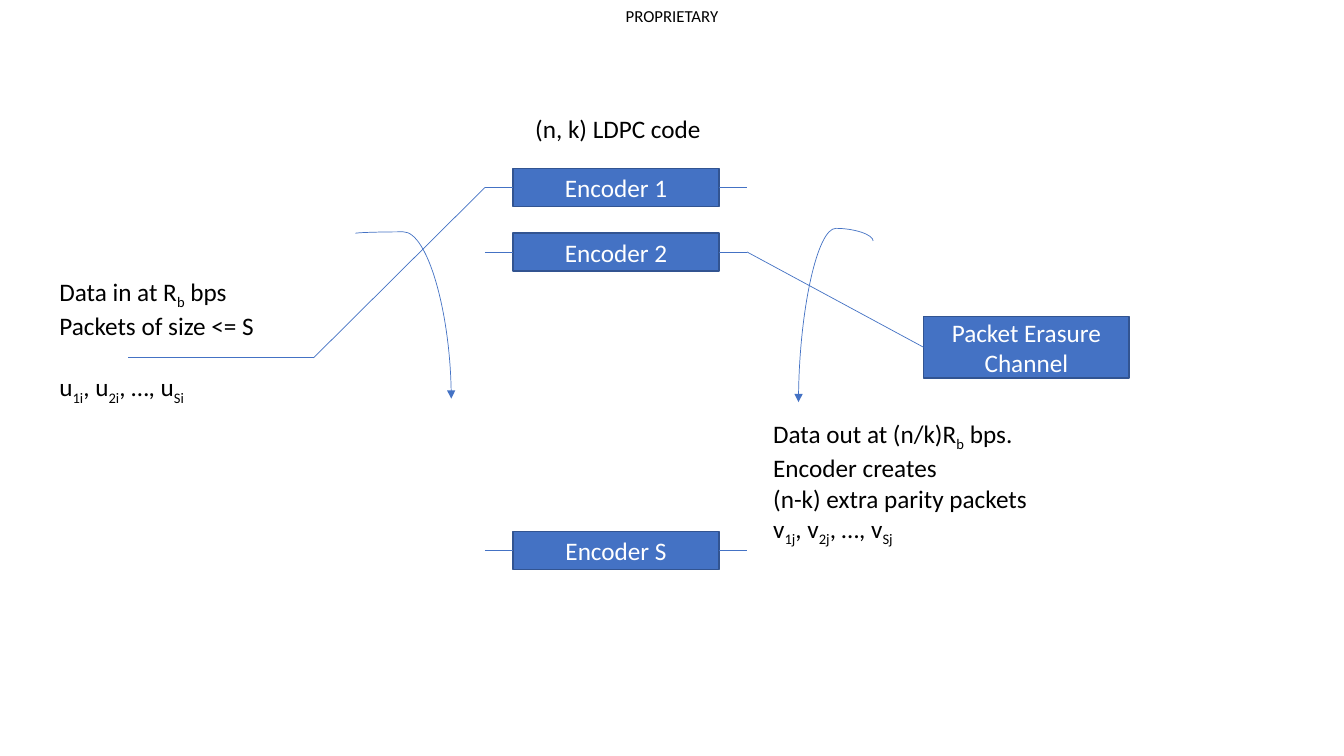
from pptx import Presentation
from pptx.dml.color import RGBColor
from pptx.enum.shapes import MSO_CONNECTOR as LINE, MSO_SHAPE as SHAPE
from pptx.enum.text import MSO_ANCHOR as ANCHOR, PP_ALIGN as ALIGN
from pptx.oxml.ns import qn
from pptx.util import Inches, Pt
from lxml.etree import SubElement

FONT = "Calibri"
BLUE, EDGE, BLACK, WHITE = "4472C4", "325491", "000000", "FFFFFF"
TOP, LEFT, BOTTOM, RIGHT = range(4)

# Paragraphs are tuples of runs; a run starting with "_" is a subscript.
HEADER = [("PROPRIETARY",)]
CODE_LABEL = [("(n, k) LDPC code",)]
DATA_IN = [
    ("Data in at R", "_b", " bps Packets of size <= S"),
    ("u", "_1i", ", u", "_2i", ", …, u", "_Si"),
]
DATA_OUT = [
    ("Data out at (n/k)R", "_b", " bps."),
    ("Encoder creates",),
    ("(n-k) extra parity packets",),
    ("v", "_1j", ", v", "_2j", ", …, v", "_Sj"),
]
ENCODERS = [("Encoder 1", 1.67), ("Encoder 2", 2.31), ("Encoder S", 5.27)]
ENCODER_LEFT, BOX_WIDTH, ENCODER_HEIGHT, STUB = 5.09, 2.04, 0.38, 0.28
CHANNEL = ("Packet Erasure Channel", 9.16, 3.14, BOX_WIDTH, 0.61)
INPUT_START, INPUT_BEND = (1.27, 3.55), (3.11, 3.55)
# Unrotated left, top, width, height; rotation in degrees; flipped; bend
SWEEPS = [
    (3.18, 2.66, 1.64, 0.95, 270, True, -900),
    (7.49, 2.82, 1.6, 0.74, 90, False, -7800),
]


def color(value):
    return RGBColor.from_string(value)


def write(frame, paragraphs, size=18, ink=BLACK, align=ALIGN.LEFT):
    frame.word_wrap = True
    for index, runs in enumerate(paragraphs):
        para = frame.add_paragraph() if index else frame.paragraphs[0]
        para.alignment = align
        for text in runs:
            span = para.add_run()
            span.text = text.removeprefix("_")
            span.font.name, span.font.size = FONT, Pt(size)
            span.font.color.rgb = color(ink)
            if text.startswith("_"):
                span._r.get_or_add_rPr().set("baseline", "-25000")


def add_text(page, area, paragraphs, **style):
    frame = page.shapes.add_textbox(*map(Inches, area)).text_frame
    write(frame, paragraphs, **style)
    return frame


def add_box(page, label, *area):
    box = page.shapes.add_shape(SHAPE.RECTANGLE, *map(Inches, area))
    box.shadow.inherit = False
    box.fill.solid()
    box.fill.fore_color.rgb = color(BLUE)
    box.line.color.rgb = color(EDGE)
    box.line.width = Pt(1)
    box.text_frame.vertical_anchor = ANCHOR.MIDDLE
    write(box.text_frame, [(label,)], ink=WHITE, align=ALIGN.CENTER)
    return box


def add_line(page, start, end, kind=LINE.STRAIGHT):
    line = page.shapes.add_connector(kind, *map(Inches, (*start, *end)))
    line.line.color.rgb = color(BLUE)
    line.line.width = Pt(0.5)
    SubElement(line._element.spPr, qn("a:effectLst"))
    return line


def add_sweep(page, left, top, width, height, turn, flipped, bend):
    """Draw a turned curved arrow that sweeps down across the encoders."""
    curve = add_line(page, (left, top), (left + width, top + height), LINE.CURVE)
    shape_props = curve._element.spPr
    frame = shape_props.find(qn("a:xfrm"))
    frame.set("rot", str(turn * 60000))
    if flipped:
        frame.set("flipH", "1")
    adjusts = shape_props.find(qn("a:prstGeom")).get_or_add_avLst()
    SubElement(adjusts, qn("a:gd"), name="adj1", fmla=f"val {bend}")
    SubElement(curve.line._get_or_add_ln(), qn("a:tailEnd"), type="triangle")


def main():
    deck = Presentation()
    deck.slide_width, deck.slide_height = Inches(13.33), Inches(7.5)
    page = deck.slides.add_slide(deck.slide_layouts[6])

    header = add_text(page, (6.02, 0, 1.29, 0.32), HEADER, size=12, align=ALIGN.CENTER)
    header.vertical_anchor = ANCHOR.MIDDLE
    header.margin_left = header.margin_right = 0
    header.margin_top = header.margin_bottom = 0

    encoder_right = ENCODER_LEFT + BOX_WIDTH
    stub_left, stub_right = ENCODER_LEFT - STUB, encoder_right + STUB
    middles = [top + ENCODER_HEIGHT / 2 for _, top in ENCODERS]
    for (label, top), middle in zip(ENCODERS, middles):
        encoder = add_box(page, label, ENCODER_LEFT, top, BOX_WIDTH, ENCODER_HEIGHT)
        inlet = add_line(page, (stub_left, middle), (ENCODER_LEFT, middle))
        inlet.end_connect(encoder, LEFT)
        outlet = add_line(page, (encoder_right, middle), (stub_right, middle))
        outlet.begin_connect(encoder, RIGHT)

    add_line(page, INPUT_START, INPUT_BEND)
    add_line(page, INPUT_BEND, (stub_left, middles[0]))

    channel = add_box(page, *CHANNEL)
    _, left, top, _, height = CHANNEL
    feed = add_line(page, (stub_right, middles[1]), (left, top + height / 2))
    feed.end_connect(channel, LEFT)

    for sweep in SWEEPS:
        add_sweep(page, *sweep)

    add_text(page, (5.21, 1.08, 1.91, 0.4), CODE_LABEL)
    data_in = add_text(page, (0.49, 2.69, 2.19, 1.31), DATA_IN)
    data_in.paragraphs[1].space_before = Pt(22)
    add_text(page, (7.57, 4.1, 3.25, 1.31), DATA_OUT)

    deck.save("out.pptx")


if __name__ == "__main__":
    main()
